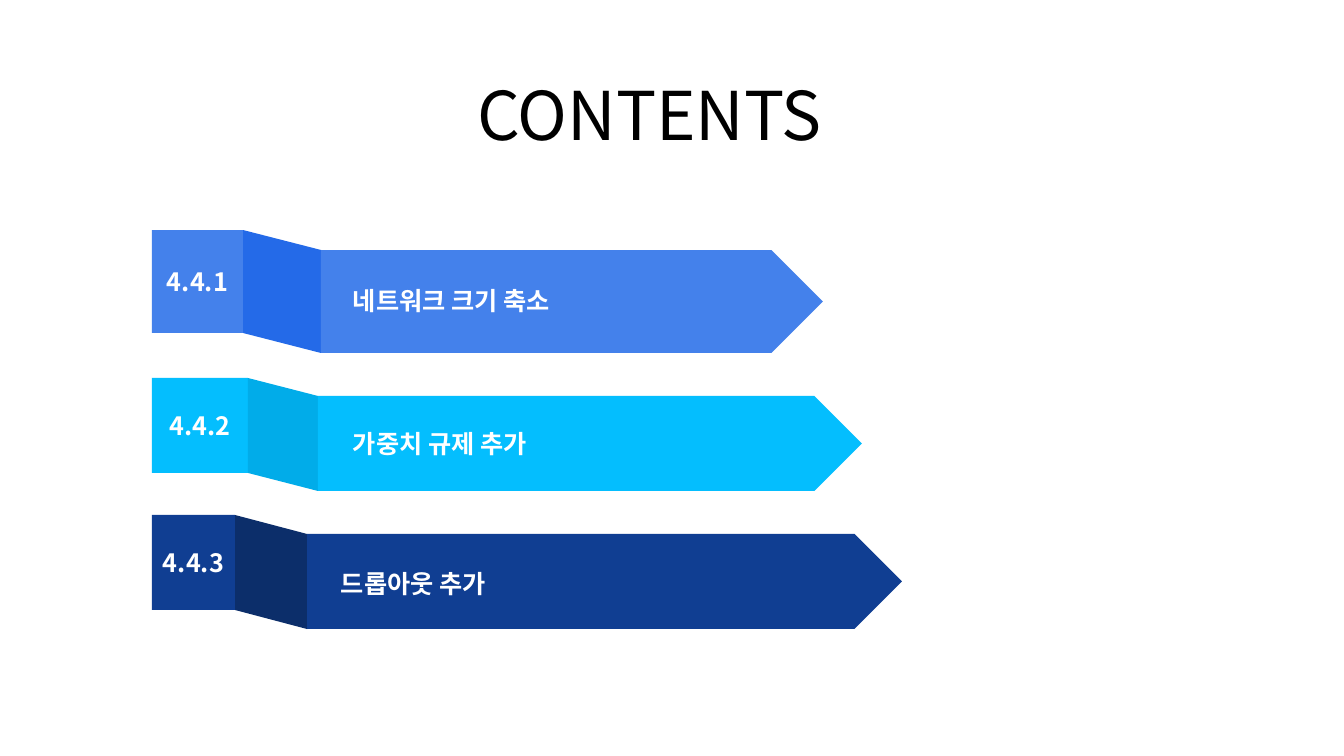
"""Build the CONTENTS slide: three folded ribbon arrows."""
from pptx import Presentation
from pptx.dml.color import RGBColor
from pptx.enum.shapes import MSO_SHAPE as Kind
from pptx.enum.text import MSO_ANCHOR as Anchor, MSO_AUTO_SIZE as Fit, PP_ALIGN as Align
from pptx.oxml.ns import qn
from pptx.util import Pt
from lxml.etree import SubElement

FONT = "Noto Sans CJK KR"
TITLE = "CONTENTS"
ROWS = [
    dict(num="4.4.1", label="네트워크 크기 축소", main="4481EB", dark="246AE8",
         top=230, wide=91, high=103, drop=20, left=321, tip=823, text=(343, 280, 456)),
    dict(num="4.4.2", label="가중치 규제 추가", main="04BEFE", dark="01ACE9",
         top=378, wide=96, high=95, drop=18, left=318, tip=862, text=(343, 423, 480)),
    dict(num="4.4.3", label="드롭아웃 추가", main="103E92", dark="0C2E6A",
         top=515, wide=83, high=95, drop=19, left=307, tip=902, text=(331, 563, 490)),
]
EDGE = 152
LINE = 40


def px(*vals):
    return [round(v * 914400 / 100.8) for v in vals]


def color(code):
    return RGBColor.from_string(code)


def write(shape, text, size, code, bold, align):
    frame = shape.text_frame
    frame.text = text
    frame.word_wrap = True
    frame.auto_size = Fit.NONE
    frame.vertical_anchor = Anchor.MIDDLE
    para = frame.paragraphs[0]
    para.alignment = align
    run = para.runs[0]
    font = run.font
    font.name, font.size, font.bold = FONT, Pt(size), bold
    font.color.rgb = color(code)
    SubElement(font._element, qn("a:ea"), typeface=FONT)


def draw(group, kind, box, code):
    shape = group.shapes.add_shape(kind, *px(*box))
    shape.shadow.inherit = False
    shape.fill.solid()
    shape.fill.fore_color.rgb = color(code)
    shape.line.fill.background()
    return shape


def ribbon(slide, row):
    group = slide.shapes.add_group_shape()
    top, wide, high, drop, left = (row[k] for k in ("top", "wide", "high", "drop", "left"))
    tab = draw(group, Kind.RECTANGLE, (EDGE, top, wide, high), row["main"])
    write(tab, row["num"], 18, "FFFFFF", True, Align.CENTER)

    span, tall = left - EDGE - wide, high + drop
    mid_x, mid_y = EDGE + wide + span / 2, top + tall / 2
    fold = draw(group, Kind.PARALLELOGRAM,
                (mid_x - tall / 2, mid_y - span / 2, tall, span), row["dark"])
    fold.rotation = 90
    fold.adjustments[0] = drop / span

    draw(group, Kind.PENTAGON, (left, top + drop, row["tip"] - left, high), row["main"])
    x, y, width = row["text"]
    label = group.shapes.add_textbox(*px(x, y, width, LINE))
    write(label, row["label"], 18, "FFFFFF", True, Align.LEFT)


def main():
    deck = Presentation()
    deck.slide_width, deck.slide_height = px(1344, 756)
    slide = deck.slides.add_slide(deck.slide_layouts[5])
    title = slide.shapes.title
    title.left, title.top, title.width, title.height = px(217, 68, 865, 92)
    write(title, TITLE, 48, "000000", False, Align.CENTER)
    for row in ROWS:
        ribbon(slide, row)
    deck.save("out.pptx")


if __name__ == "__main__":
    main()
